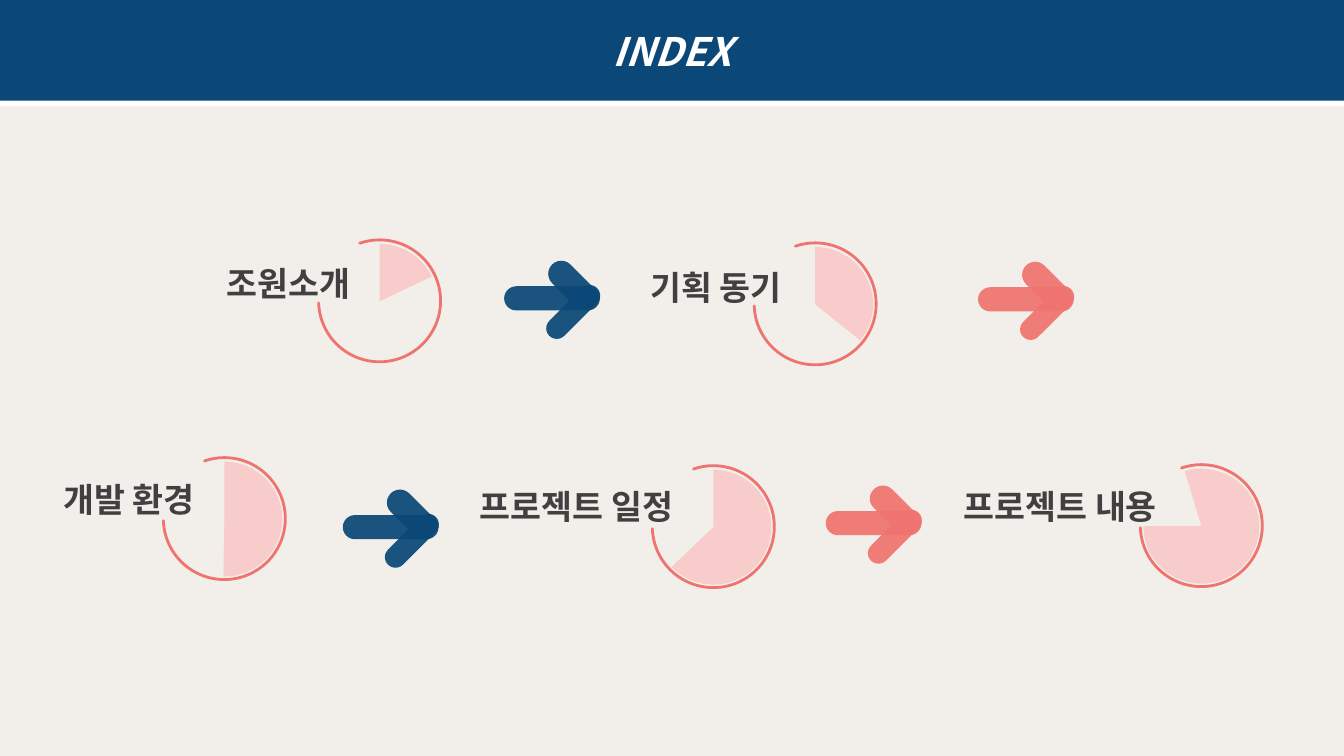
from lxml import etree
from pptx import Presentation
from pptx.dml.color import RGBColor
from pptx.enum import shapes, text
from pptx.oxml import parse_xml
from pptx.oxml.ns import nsdecls, qn
from pptx.util import Inches, Pt

FONT = "Noto Sans CJK KR"
NAVY, CORAL, PINK = "0B4877", "EF746F", "FBB9B9"
WHITE, GREY, CREAM = "FFFFFF", "404040", "F2EFEA"


def paint(fill, color, alpha=100):
    fill.solid()
    fill.fore_color.rgb = RGBColor.from_string(color)
    if alpha < 100:
        color_node = fill._xPr.find(qn("a:solidFill"))[0]
        etree.SubElement(color_node, qn("a:alpha"), val=str(alpha * 1000))


def write(shape, words, line_spacing, format_values, color):
    paragraph = shape.text_frame.paragraphs[0]
    paragraph.line_spacing = line_spacing
    run = paragraph.add_run()
    run.text = words
    for name, value in format_values.items():
        setattr(run.font, name, value)
    paint(run.font.fill, color)
    run.font._element.append(parse_xml(f'<a:ea {nsdecls("a")} typeface="{FONT}"/>'))
    return paragraph


presentation = Presentation()
presentation.slide_width = Inches(13.33)
presentation.slide_height = Inches(7.5)
slide = presentation.slides.add_slide(presentation.slide_layouts[6])
paint(slide.background.fill, CREAM)

header = slide.shapes.add_shape(
    shapes.MSO_SHAPE.RECTANGLE, 0, 0, presentation.slide_width, Inches(1))
paint(header.fill, NAVY)
header.line.fill.background()
header._element.spPr.append(parse_xml(
    f'<a:effectLst {nsdecls("a")}><a:outerShdw dist="{Pt(4)}" dir="5400000" '
    f'algn="t" rotWithShape="0"><a:srgbClr val="{WHITE}"/></a:outerShdw></a:effectLst>'))
header.text_frame.vertical_anchor = text.MSO_ANCHOR.MIDDLE
title = write(header, "INDEX", 1.0,
              {"name": FONT, "size": Pt(28), "bold": True, "italic": True}, WHITE)
title.alignment = text.PP_ALIGN.CENTER

arrows = [
    (9.7, 2.85, CORAL),
    (5, 2.84, NAVY),
    (3.4, 5.11, NAVY),
    (8.19, 5.07, CORAL),
]
strokes = [
    (0, 0, 0.95, 0.24, 0),
    (0.39, -0.14, 0.58, 0.26, 45),
    (0.35, 0.15, 0.67, 0.21, 135),
]
for left, top, color in arrows:
    arrow = slide.shapes.add_group_shape()
    for across, down, width, height, rotation in strokes:
        stroke = arrow.shapes.add_shape(
            shapes.MSO_SHAPE.ROUNDED_RECTANGLE, Inches(left + across),
            Inches(top + down), Inches(width), Inches(height))
        stroke.adjustments[0] = 0.5
        stroke.rotation = rotation
        stroke.shadow.inherit = False
        stroke.line.fill.background()
        paint(stroke.fill, color, 93)

topics = [
    ("조원소개", 2.15, 2.36, 1.57, 3.16, 2.38, 270, 334.5),
    ("개발 환경", 0.53, 4.5, 1.67, 1.62, 4.54, 270, 90.9),
    ("기획 동기", 6.35, 2.4, 1.72, 7.48, 2.41, 270, 38.6),
    ("프로젝트 일정", 4.66, 4.57, 2.35, 6.47, 4.62, 270, 136.4),
    ("프로젝트 내용", 9.46, 4.57, 2.4, 11.31, 4.61, 253.3, 179.9),
]
for words, left, top, width, dial_left, dial_top, start, end in topics:
    topic = slide.shapes.add_group_shape()
    label = topic.shapes.add_textbox(
        Inches(left), Inches(top), Inches(width), Inches(0.71))
    label.text_frame.word_wrap = True
    label.text_frame.auto_size = text.MSO_AUTO_SIZE.SHAPE_TO_FIT_TEXT
    write(label, words, 1.5, {"name": FONT, "size": Pt(24), "bold": True}, GREY)

    ring = topic.shapes.add_shape(
        shapes.MSO_SHAPE.ARC, Inches(dial_left), Inches(dial_top),
        Inches(1.21), Inches(1.21))
    wedge = topic.shapes.add_shape(
        shapes.MSO_SHAPE.ARC, Inches(dial_left + 0.03), Inches(dial_top + 0.04),
        Inches(1.15), Inches(1.14))
    for arc, first, last in [(ring, 251, 178.1), (wedge, start, end)]:
        arc.shadow.inherit = False
        arc.adjustments[0] = first * 0.6
        arc.adjustments[1] = last * 0.6
    ring.fill.background()
    ring.line.width = Pt(2)
    paint(ring.line.fill, CORAL)
    ring.line._ln.set("cap", "rnd")
    wedge.line.fill.background()
    paint(wedge.fill, PINK, 63)

presentation.save("out.pptx")
